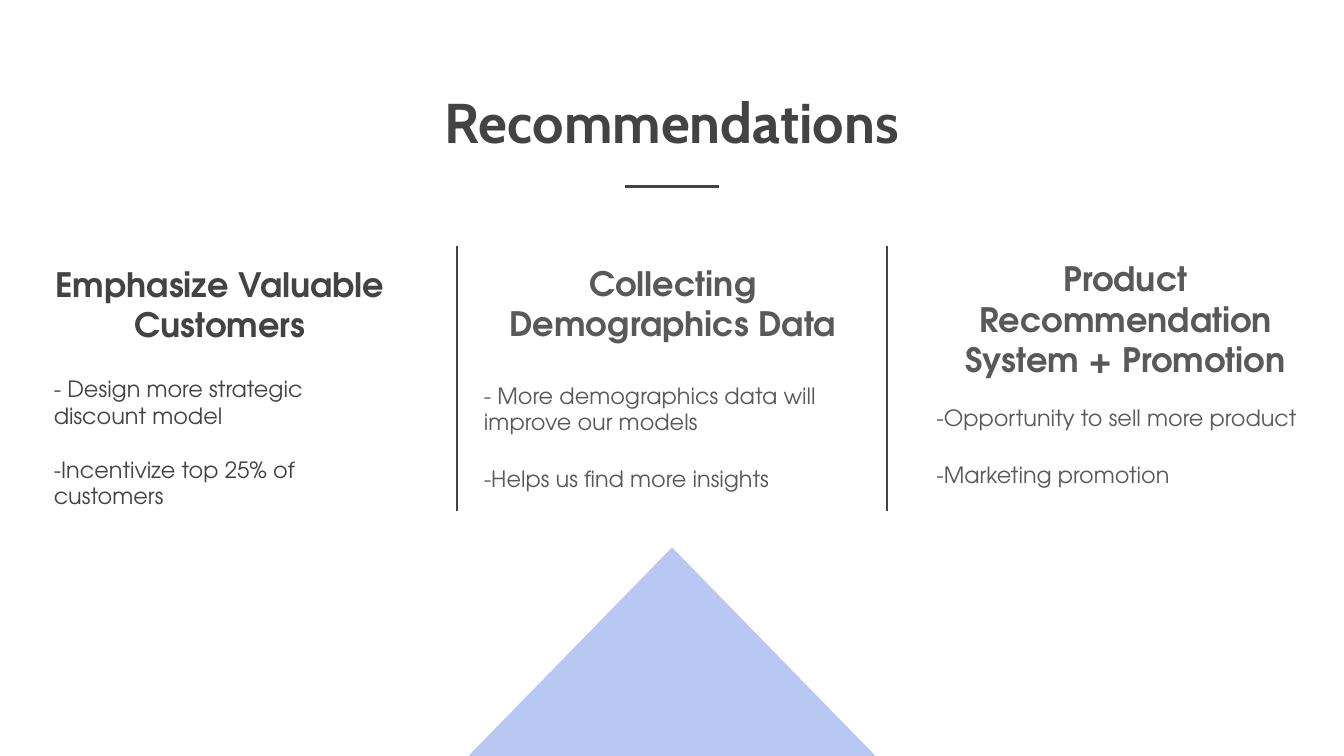
from lxml.etree import SubElement
from pptx import Presentation
from pptx.dml.color import RGBColor
from pptx.enum.shapes import MSO_CONNECTOR, MSO_SHAPE
from pptx.enum.text import MSO_ANCHOR, MSO_AUTO_SIZE, PP_ALIGN
from pptx.oxml.ns import qn
from pptx.util import Pt

CHARCOAL = RGBColor(0x43, 0x43, 0x43)
GRAY = RGBColor(0x59, 0x59, 0x59)
PERIWINKLE = RGBColor(0xB9, 0xC7, 0xF3)
WHITE = RGBColor(0xFF, 0xFF, 0xFF)

SLIDE_WIDTH, SLIDE_HEIGHT = 720, 405
COLUMN_TOP, COLUMN_BOTTOM = 131.8, 273.6
DIVIDER_OFFSET = 115.2

RECOMMENDATIONS = [
    ("Emphasize Valuable Customers", (9.4, COLUMN_TOP, 216.7, 61.9),
     ["- Design more strategic discount model", "-Incentivize top 25% of customers"],
     (21.6, 193.7, 190.8, 108), CHARCOAL, 14.4),
    ("Collecting Demographics Data", (247, 127.4, 226.8, 69.8),
     ["- More demographics data will improve our models", "-Helps us find more insights"],
     (252, 197.3, 216.7, 100), GRAY, 16),
    ("Product Recommendation System + Promotion", (489.6, COLUMN_TOP, 226.8, 77.8),
     ["-Opportunity to sell more product", "-Marketing promotion"],
     (494.6, 209.5, 216.7, 59), GRAY, 16),
]


class RecommendationSlide:
    """Hold the deck style and the slide being built."""

    title_font = "Cabin"
    text_font = "TeX Gyre Adventor"
    inset = Pt(7.2)

    def __init__(self, deck):
        self.slide = deck.slides.add_slide(deck.slide_layouts[4])
        self.slide.background.fill.solid()
        self.slide.background.fill.fore_color.rgb = WHITE
        self.holders = iter([p for p in self.slide.placeholders
                             if p.placeholder_format.idx in (1, 2, 3, 4)])

    def set_text(self, holder, box, lines, size, color, font=text_font, bold=False,
                 align=PP_ALIGN.LEFT, anchor=MSO_ANCHOR.TOP, gap=0):
        holder.left, holder.top, holder.width, holder.height = map(Pt, box)
        frame = holder.text_frame
        frame.word_wrap = True
        frame.auto_size = MSO_AUTO_SIZE.NONE
        frame.vertical_anchor = anchor
        frame.margin_left = frame.margin_right = self.inset
        frame.margin_top = frame.margin_bottom = self.inset
        frame.text = "\n".join(lines)
        for index, paragraph in enumerate(frame.paragraphs):
            properties = paragraph._p.get_or_add_pPr()
            properties.set("marL", "0")
            properties.set("indent", "0")
            SubElement(properties, qn("a:buNone"))
            paragraph.alignment = align
            paragraph.space_before = Pt(gap if index else 0)
            paragraph.font.name = font
            paragraph.font.size = Pt(size)
            paragraph.font.bold = bold
            paragraph.font.color.rgb = color

    def title(self, wording, box):
        self.set_text(self.slide.shapes.title, box, [wording], 30, CHARCOAL,
                      font=self.title_font, bold=True, align=PP_ALIGN.CENTER)

    def next_holder(self):
        holder = next(self.holders, None)
        return self.slide.shapes.add_textbox(0, 0, 0, 0) if holder is None else holder

    def heading(self, wording, box, color):
        self.set_text(self.next_holder(), box, [wording], 18, color, bold=True,
                      align=PP_ALIGN.CENTER, anchor=MSO_ANCHOR.MIDDLE)

    def body(self, points, box, color, gap):
        self.set_text(self.next_holder(), box, points, 12, color, gap=gap)

    def rule(self, *ends):
        rule = self.slide.shapes.add_connector(MSO_CONNECTOR.STRAIGHT, *map(Pt, ends))
        rule.line.color.rgb = CHARCOAL
        rule.line.width = Pt(1.5)
        SubElement(rule._element.spPr, qn("a:effectLst"))

    def peak(self, *box):
        peak = self.slide.shapes.add_shape(MSO_SHAPE.FLOWCHART_MERGE, *map(Pt, box))
        peak.rotation = 180
        peak.shadow.inherit = False
        peak.fill.solid()
        peak.fill.fore_color.rgb = PERIWINKLE
        peak.line.color.rgb = PERIWINKLE
        peak.line.width = Pt(0.75)


def main():
    deck = Presentation()
    deck.slide_width, deck.slide_height = Pt(SLIDE_WIDTH), Pt(SLIDE_HEIGHT)
    page = RecommendationSlide(deck)
    center = SLIDE_WIDTH / 2

    page.title("Recommendations", (155.5, 39.6, 409, 41.8))
    page.rule(center - 25.2, 100.1, center + 25.2, 100.1)
    page.peak(center - DIVIDER_OFFSET, 293.8, 2 * DIVIDER_OFFSET, 118)
    for divider in (center - DIVIDER_OFFSET, center + DIVIDER_OFFSET):
        page.rule(divider, COLUMN_TOP, divider, COLUMN_BOTTOM)
    for heading, heading_box, points, points_box, color, gap in RECOMMENDATIONS:
        page.heading(heading, heading_box, color)
        page.body(points, points_box, color, gap)

    deck.save("out.pptx")


if __name__ == "__main__":
    main()
